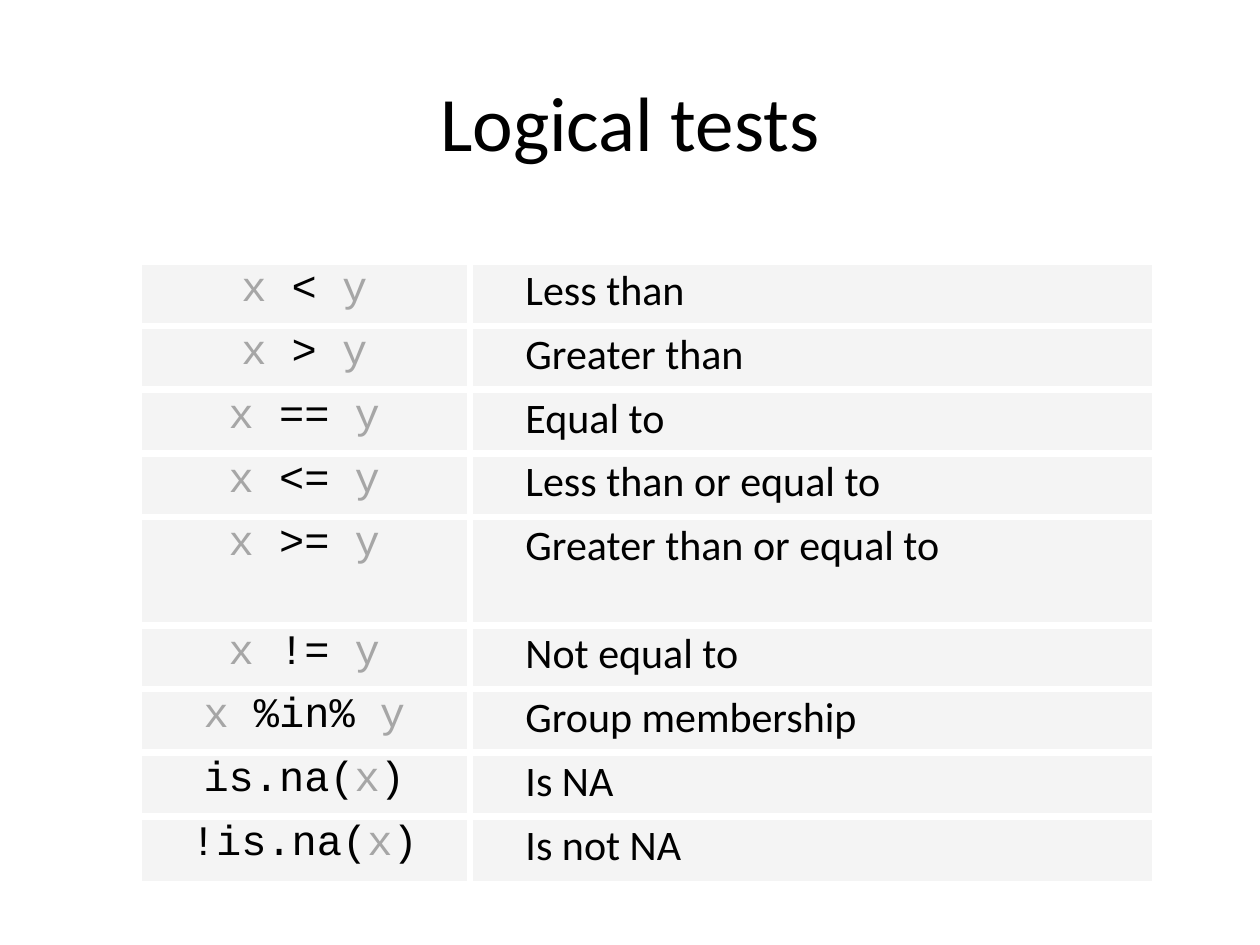
from lxml.etree import SubElement
from pptx import Presentation
from pptx.dml.color import RGBColor
from pptx.enum.text import MSO_ANCHOR, PP_ALIGN
from pptx.oxml.ns import qn
from pptx.util import Pt

BLACK, GREY, WHITE, PALE = "000000", "A6A6A6", "FFFFFF", "EBEBEB"
VARIABLES = ("x", "y")
COLUMN_WIDTHS = (189.4, 391.7)
ROW_HEIGHT, TALL_ROW_HEIGHT, LAST_ROW_HEIGHT = 36.4, 61.9, 38.9
TALL_ROW = 4


def comparison(operator):
    return "x ", operator + " ", "y"


TESTS = [
    (comparison("<"), "Less than"),
    (comparison(">"), "Greater than"),
    (comparison("=="), "Equal to"),
    (comparison("<="), "Less than or equal to"),
    (comparison(">="), "Greater than or equal to"),
    (comparison("!="), "Not equal to"),
    (comparison("%in%"), "Group membership"),
    (("is.na(", "x", ")"), "Is NA"),
    (("!is.na(", "x", ")"), "Is not NA"),
]


def color(value):
    return RGBColor.from_string(value)


def set_margins(target, top):
    target.margin_left = target.margin_right = target.margin_bottom = 0
    target.margin_top = Pt(top)


def style_font(font, name, size):
    font.name = name
    font.size = Pt(size)
    font.color.rgb = color(BLACK)


def add_title(page, text):
    title = page.shapes.title
    title.left, title.top, title.width, title.height = Pt(212.4), Pt(41.8), Pt(295.2), Pt(46)
    frame = title.text_frame
    set_margins(frame, 0.7)
    frame.vertical_anchor = MSO_ANCHOR.TOP
    frame.text = text
    paragraph = frame.paragraphs[0]
    paragraph.alignment = PP_ALIGN.CENTER
    style_font(paragraph.font, "Calibri", 44)


def style_cell(cell):
    """Give the cell white borders and a half-transparent pale fill."""
    properties = cell._tc.get_or_add_tcPr()
    for side in ("L", "R", "T", "B"):
        line = SubElement(properties, qn("a:ln" + side), w=str(Pt(4.25)))
        solid = SubElement(line, qn("a:solidFill"))
        SubElement(solid, qn("a:srgbClr"), val=WHITE)
    cell.fill.solid()
    cell.fill.fore_color.rgb = color(PALE)
    fill_color = properties.find(qn("a:solidFill")).find(qn("a:srgbClr"))
    SubElement(fill_color, qn("a:alpha"), val="50000")
    set_margins(cell, 2.2)


def write_test(cell, spans):
    """Write the code centred, with its variables in grey."""
    paragraph = cell.text_frame.paragraphs[0]
    paragraph.alignment = PP_ALIGN.CENTER
    style_font(paragraph.font, "Courier New", 24)
    for text in spans:
        span = paragraph.add_run()
        span.text = text
        is_variable = text.strip() in VARIABLES
        style_font(span.font, "Courier New", 24)
        span.font.color.rgb = color(GREY if is_variable else BLACK)


def write_meaning(cell, text):
    cell.text = text
    paragraph = cell.text_frame.paragraphs[0]
    paragraph._p.get_or_add_pPr().set("marL", str(Pt(31.7)))
    style_font(paragraph.font, "Calibri", 24)


def add_tests_table(page):
    heights = [ROW_HEIGHT] * len(TESTS)
    heights[TALL_ROW] = TALL_ROW_HEIGHT
    heights[-1] = LAST_ROW_HEIGHT
    frame = page.shapes.add_table(len(TESTS), 2, Pt(79.2), Pt(149.8),
                                  Pt(sum(COLUMN_WIDTHS)), Pt(sum(heights)))
    table = frame.table
    table.first_row = table.horz_banding = False
    for column, width in zip(table.columns, COLUMN_WIDTHS):
        column.width = Pt(width)
    for row, height, (spans, meaning) in zip(table.rows, heights, TESTS):
        row.height = Pt(height)
        for cell in row.cells:
            style_cell(cell)
        write_test(row.cells[0], spans)
        write_meaning(row.cells[1], meaning)


def main():
    deck = Presentation()
    deck.slide_width, deck.slide_height = Pt(720), Pt(540)
    page = deck.slides.add_slide(deck.slide_layouts[5])
    add_title(page, "Logical tests")
    add_tests_table(page)
    deck.save("out.pptx")


if __name__ == "__main__":
    main()
